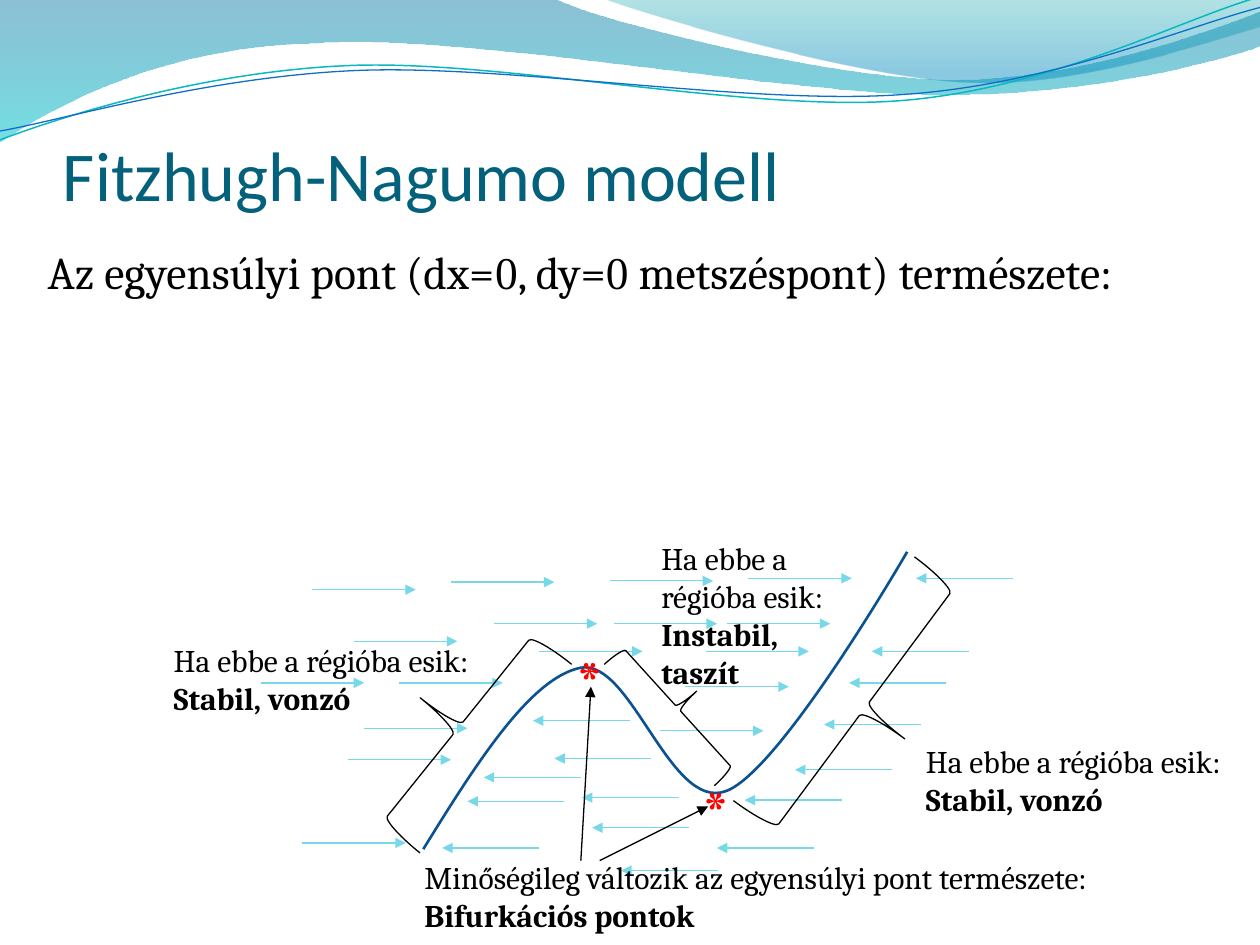
import math
import pptx
import pptx.dml.color
import pptx.enum.shapes
import pptx.enum.text
import pptx.oxml
import pptx.oxml.ns
import pptx.util
from pptx.util import Inches

deck = pptx.Presentation()
deck.slide_width, deck.slide_height = Inches(10), Inches(7.5)
shapes = deck.slides.add_slide(deck.slide_layouts[6]).shapes
qn = pptx.oxml.ns.qn
space = pptx.oxml.ns.nsdecls("a")


def color(code):
    return pptx.dml.color.RGBColor.from_string(code)


def trace(steps, closed=False, turn=0, hub=(0, 0)):
    """Draw a freeform; a step is a point, or two handles and an end point."""
    cos, sin = math.cos(math.radians(turn)), math.sin(math.radians(turn))
    spots = []
    for step in steps:
        for x, y in zip(step[::2], step[1::2]):
            dx, dy = x - hub[0], y - hub[1]
            spots.append((Inches(hub[0] + dx * cos + dy * sin),
                          Inches(hub[1] - dx * sin + dy * cos)))
    pen = shapes.build_freeform(*spots[0], scale=1.0)
    pen.add_line_segments(spots[1:], close=closed)
    form = pen.convert_to_shape()
    form.rotation = turn
    form.shadow.inherit = False
    # Join each pair of handles and its end point into one Bezier segment
    lines = iter(list(form.element.iter(qn("a:lnTo"))))
    for step in steps[1:]:
        first = next(lines)
        if len(step) == 6:
            bend = pptx.oxml.parse_xml(f"<a:cubicBezTo {space}/>")
            first.addprevious(bend)
            for part in (first, next(lines), next(lines)):
                bend.append(part[0])
                part.getparent().remove(part)
    return form


# Filled waves of the header: outline, then position, colour, opacity
bands = [
    ([(0, 0), (4.4, -0.01), (4.76, 0.17, 6.64, 0.63, 7.58, 0.63),
      (8.53, 0.63, 9.58, 0.26, 10, 0.09), (10.01, 0.36),
      (9.83, 0.44, 8.7, 0.76, 7.46, 0.75), (6.22, 0.75, 3.82, 0.28, 2.57, 0.34),
      (1.29, 0.36, 0.46, 0.83, -0.01, 1.13), (0, 0)],
     [(0, "0074A1", 45), (1, "00C6CF", 55)]),
    ([(4.79, -0.01), (5.09, 0.11, 6.82, 0.62, 7.69, 0.65),
      (8.56, 0.69, 9.61, 0.32, 10, 0.21), (10, 0), (4.79, -0.01)],
     [(0, "00A1A9", 30), (0.8, "008BBF", 45)]),
]
for steps, stops in bands:
    band = trace(steps, closed=True)
    band.line.fill.background()
    band.fill.gradient()
    band.fill.gradient_angle = 270
    for stop, (place, code, solid) in zip(band.fill.gradient_stops, stops):
        stop.position = place
        stop.color.rgb = color(code)
    tints = band.element.spPr.iter(qn("a:srgbClr"))
    for tint, (place, code, solid) in zip(tints, stops):
        tint.append(pptx.oxml.parse_xml(f'<a:alpha {space} val="{solid * 1000}"/>'))

# Thin header waves, slightly turned, and the cubic nullcline
curves = [
    ([(0, 1.11), (0.48, 0.93, 1.58, 0.57, 2.77, 0.52),
      (3.95, 0.47, 5.93, 0.89, 7.13, 0.8), (8.33, 0.71, 9.38, 0.15, 9.98, -0.02)],
     "0AB8BF", 0.85, -2.7, (4.99, 0.58)),
    ([(0, 1.04), (0.47, 0.96, 1.64, 0.61, 2.83, 0.56),
      (4.03, 0.51, 5.97, 0.84, 7.17, 0.75), (8.36, 0.67, 9.41, 0.21, 10, 0.06)],
     "0F6FC6", 0.75, -2.7, (5, 0.59)),
    ([(3.36, 6.74), (3.78, 6.06, 4.21, 5.38, 4.61, 5.3),
      (5.01, 5.23, 5.32, 6.44, 5.76, 6.28), (6.19, 6.13, 7.2, 4.38, 7.2, 4.38)],
     "0B5292", 1.5, 0, (0, 0)),
]
for steps, code, width, turn, hub in curves:
    curve = trace(steps, turn=turn, hub=hub)
    curve.fill.background()
    curve.line.color.rgb = color(code)
    curve.line.width = pptx.util.Pt(width)

# Flow field, then the pointers to the bifurcation points
right = [(3.58, 4.62), (2.48, 4.68), (4.87, 4.95), (5.77, 4.95), (5.6, 5.17), (5.44, 5.45),
         (5.24, 5.8), (3.17, 5.42), (2.81, 5.09), (4.84, 4.61), (3.92, 4.95), (5.94, 4.59),
         (4.28, 5.17), (2.76, 6.03), (2.89, 5.78), (2.07, 5.42), (2.4, 6.69)]
left = [(5.47, 6.57), (5.7, 6.91), (4.61, 6.17), (4.48, 6.36), (4.28, 6.73), (5.39, 6.33),
        (5.17, 6.02), (5, 5.72), (6.68, 6.35), (7.08, 6.11), (7.31, 5.75), (7.51, 5.42),
        (7.69, 5.17), (8.04, 4.59), (6.46, 6.73)]
flow = [(x, y, x + 0.82, y, "77D9E8") for x, y in right]
flow += [(x, y, x - 0.77, y, "77D9E8") for x, y in left]
marks = [(4.61, 6.83, 4.69, 5.45, "000000"), (4.76, 6.83, 5.62, 6.4, "000000")]
for *ends, code in flow + marks:
    arrow = shapes.add_connector(pptx.enum.shapes.MSO_CONNECTOR.STRAIGHT, *map(Inches, ends))
    arrow.line.color.rgb = color(code)
    arrow.line.width = pptx.util.Pt(0.75)
    props = arrow.element.spPr
    props.find(qn("a:ln")).append(pptx.oxml.parse_xml(f'<a:tailEnd {space} type="triangle"/>'))
    props.append(pptx.oxml.parse_xml(f"<a:effectLst {space}/>"))

# Braces over the three regions
braces = [(3.25, 4.82, 0.77, 1.92, 38.8), (6.46, 4.42, 0.8, 2.41, 216.6),
          (5.18, 4.97, 0.4, 1.3, 137.8)]
for *area, turn in braces:
    brace = shapes.add_shape(pptx.enum.shapes.MSO_SHAPE.LEFT_BRACE, *map(Inches, area))
    brace.rotation = turn
    brace.shadow.inherit = False
    brace.fill.background()
    brace.line.color.rgb = color("000000")
    brace.line.width = pptx.util.Pt(0.75)

# Texts: area, wrap, size, colour, then lines of (text, font, bold) runs
serif, times = "Cambria", "Times New Roman"
region = "Ha ebbe a régióba esik:"
stable = [[(region, serif, False)], [("Stabil, vonzó", serif, True)]]
star = [[("*", serif, True)]]
texts = [
    ((0.5, 0.77, 9, 0.94), True, 40, "04617B", [[("Fitzhugh-Nagumo modell", "Calibri", False)]]),
    ((0.28, 1.89, 9.71, 0.66), True, 26, "000000",
     [[("Az egyensúlyi pont (dx=", serif, False), ("0", times, False), (", dy=", serif, False),
       ("0", times, False), (" metszéspont) természete:", serif, False)]]),
    ((1.28, 5.04, 2.68, 0.71), False, 18, "000000", stable),
    ((4.48, 5.04, 0.42, 0.71), False, 36, "FF0000", star),
    ((5.48, 6.07, 0.42, 0.71), False, 36, "FF0000", star),
    ((7.25, 5.84, 2.68, 0.71), False, 18, "000000", stable),
    ((5.15, 4.23, 1.64, 1.31), True, 18, "000000",
     [[(region, serif, False)], [("Instabil, taszít", serif, True)]]),
    ((3.27, 6.76, 5.82, 0.71), False, 18, "000000",
     [[("Minőségileg változik az egyensúlyi pont természete:", serif, False)],
      [("Bifurkációs pontok", serif, True)]]),
]
for area, wrap, size, code, lines in texts:
    frame = shapes.add_textbox(*map(Inches, area)).text_frame
    frame.word_wrap = wrap
    if size in (18, 36):
        frame.auto_size = pptx.enum.text.MSO_AUTO_SIZE.SHAPE_TO_FIT_TEXT
    if size == 40:
        frame.vertical_anchor = pptx.enum.text.MSO_ANCHOR.BOTTOM
        frame.margin_left = frame.margin_right = frame.margin_bottom = 0
    for i, line in enumerate(lines):
        para = frame.add_paragraph() if i else frame.paragraphs[0]
        for words, face, bold in line:
            run = para.add_run()
            run.text = words
            run.font.name = face
            run.font.size = pptx.util.Pt(size)
            run.font.bold = bold
            run.font.color.rgb = color(code)

deck.save("out.pptx")
